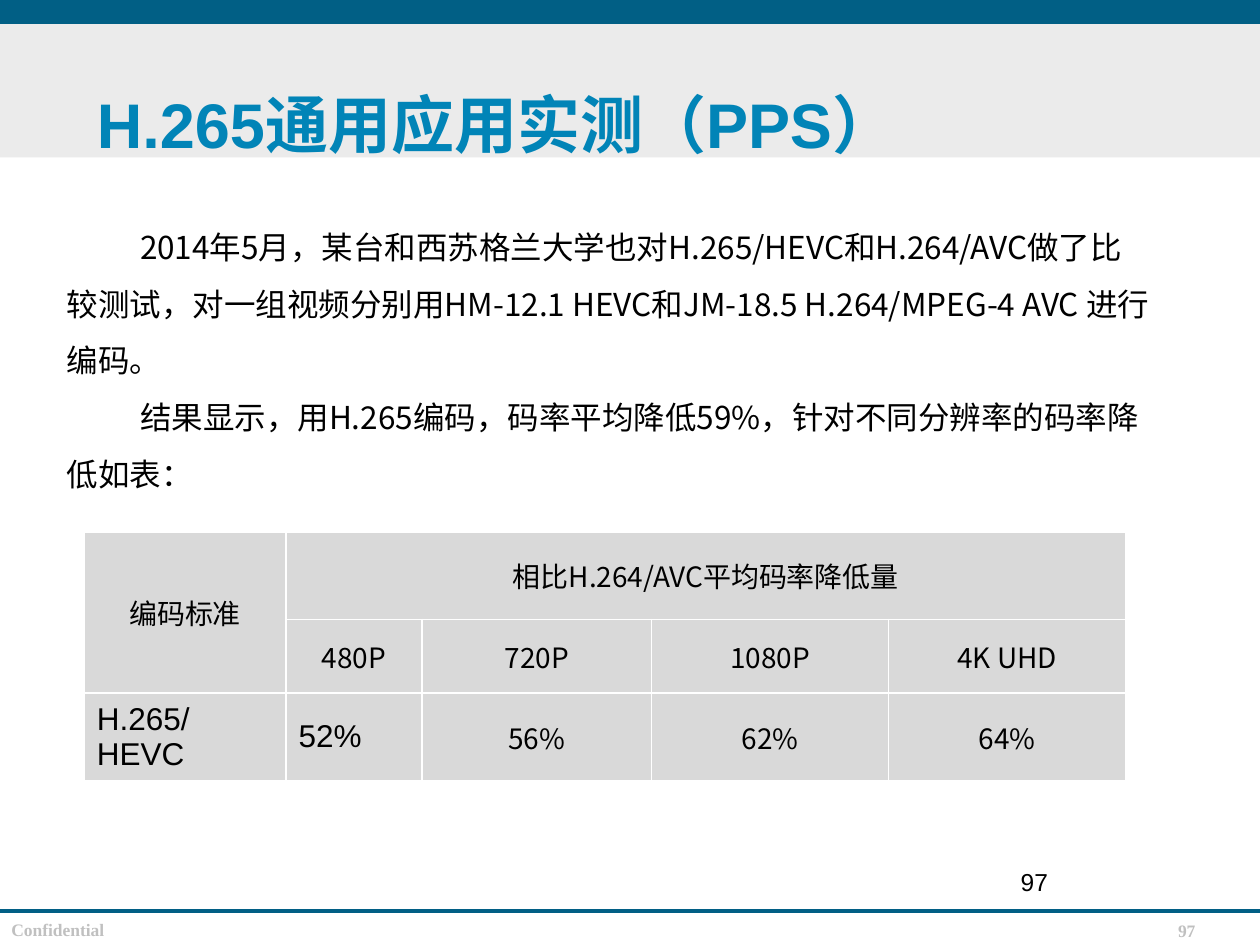
"""Build the slide on measured H.265 bit-rate savings."""
from dataclasses import dataclass
from typing import Any

from lxml.etree import SubElement
from pptx import Presentation
from pptx.dml.color import RGBColor
from pptx.enum.shapes import MSO_CONNECTOR as Connector, MSO_SHAPE as Shape
from pptx.enum.text import MSO_ANCHOR as Anchor, MSO_AUTO_SIZE as AutoSize, PP_ALIGN as Align
from pptx.oxml.ns import qn
from pptx.util import Pt

CJK = "Noto Sans CJK SC"
DARK_BLUE, BLACK, WHITE = "015F85", "000000", "FFFFFF"
CELL_FILL = "D9D9D9"
NO_MARGINS = dict.fromkeys(("margin_left", "margin_top", "margin_right", "margin_bottom"), 0)


@dataclass(frozen=True)
class Box:
    left: float
    top: float
    width: float
    height: float

    def lengths(self) -> tuple:
        return Pt(self.left), Pt(self.top), Pt(self.width), Pt(self.height)


@dataclass(frozen=True)
class Style:
    size: float
    name: str = "Arial"
    color: str = BLACK
    bold: bool = False


@dataclass(frozen=True)
class Band:
    box: Box
    color: str


@dataclass(frozen=True)
class Label:
    text: str
    box: Box
    style: Style
    frame_format: dict
    paragraph_format: dict


@dataclass(frozen=True)
class Entry:
    row: int
    column: int
    text: str
    style: Style = Style(16, CJK)
    alignment: Any = Align.CENTER


FOOTER = Style(10, "Times New Roman", "C0C0C0", True)
FOOTER_FRAME = NO_MARGINS | {"word_wrap": False}
FOOTER_LINE = {"line_spacing": Pt(9.2)}
PLAIN = Style(18)

BANDS = [
    Band(Box(0, 9, 720, 81), "EBEBEB"),
    Band(Box(0, 0, 720, 13.7), DARK_BLUE),
]
LABELS = [
    Label("97", Box(673.2, 528.5, 11.5, 9.4), FOOTER, FOOTER_FRAME, FOOTER_LINE),
    Label("Confidential", Box(6.5, 527.8, 53.3, 9.4), FOOTER, FOOTER_FRAME, FOOTER_LINE),
    Label("97", Box(516.2, 491.8, 149.8, 36), Style(14), {"word_wrap": True},
          {"alignment": Align.CENTER}),
]
BODY = [
    "2014年5月，某台和西苏格兰大学也对H.265/HEVC和H.264/AVC做了比较测试，"
    "对一组视频分别用HM-12.1 HEVC和JM-18.5 H.264/MPEG-4 AVC 进行编码。",
    "结果显示，用H.265编码，码率平均降低59%，针对不同分辨率的码率降低如表：",
]
COLUMN_WIDTHS = [115.2, 77.8, 131, 135.6, 135.6]
ROW_HEIGHTS = [50, 42, 38]
ENTRIES = [
    Entry(0, 0, "编码标准"),
    Entry(0, 1, "相比H.264/AVC平均码率降低量"),
    *(Entry(1, column, text) for column, text in enumerate(["480P", "720P", "1080P", "4K UHD"], 1)),
    Entry(2, 0, "H.265/HEVC", PLAIN, Align.LEFT),
    Entry(2, 1, "52%", PLAIN, Align.LEFT),
    *(Entry(2, column, text) for column, text in enumerate(["56%", "62%", "64%"], 2)),
]


def paint(color_format: Any, color: str) -> None:
    color_format.rgb = RGBColor.from_string(color)


def fill_solid(fill: Any, color: str) -> None:
    fill.solid()
    paint(fill.fore_color, color)


def set_attributes(target: Any, values: dict) -> None:
    for name, value in values.items():
        setattr(target, name, value)


def write(paragraph: Any, text: str, style: Style, values: dict) -> None:
    run = paragraph.add_run()
    run.text = text
    set_attributes(paragraph, values)
    set_attributes(run.font, {"size": Pt(style.size), "name": style.name, "bold": style.bold})
    paint(run.font.color, style.color)
    SubElement(run.font._element, qn("a:ea"), typeface=CJK)


def place(shape: Any, box: Box) -> None:
    set_attributes(shape, dict(zip(("left", "top", "width", "height"), box.lengths())))


def draw_band(slide: Any, band: Band) -> None:
    shape = slide.shapes.add_shape(Shape.RECTANGLE, *band.box.lengths())
    shape.shadow.inherit = False
    fill_solid(shape.fill, band.color)
    shape.line.fill.background()


def draw_rule(slide: Any, top: float, width: float) -> None:
    rule = slide.shapes.add_connector(Connector.STRAIGHT, 0, Pt(top), Pt(width), Pt(top))
    rule.line.width = Pt(2)
    paint(rule.line.color, DARK_BLUE)
    SubElement(rule._element.spPr, qn("a:effectLst"))


def draw_label(slide: Any, label: Label) -> None:
    frame = slide.shapes.add_textbox(*label.box.lengths()).text_frame
    set_attributes(frame, label.frame_format)
    write(frame.paragraphs[0], label.text, label.style, label.paragraph_format)


def format_cell(cell: Any) -> None:
    cell.vertical_anchor = Anchor.MIDDLE
    properties = cell._tc.get_or_add_tcPr()
    for side in ("lnL", "lnR", "lnT", "lnB"):
        border = SubElement(properties, qn(f"a:{side}"), w=str(Pt(1)))
        SubElement(SubElement(border, qn("a:solidFill")), qn("a:srgbClr"), val=WHITE)
    fill_solid(cell.fill, CELL_FILL)


def draw_table(slide: Any) -> None:
    box = Box(48.2, 304, sum(COLUMN_WIDTHS), sum(ROW_HEIGHTS))
    table = slide.shapes.add_table(len(ROW_HEIGHTS), len(COLUMN_WIDTHS), *box.lengths()).table
    set_attributes(table, {"first_row": False, "horz_banding": False})
    for column, width in zip(table.columns, COLUMN_WIDTHS):
        column.width = Pt(width)
    for row, height in zip(table.rows, ROW_HEIGHTS):
        row.height = Pt(height)
    for cell in table.iter_cells():
        format_cell(cell)
    table.cell(0, 0).merge(table.cell(1, 0))
    table.cell(0, 1).merge(table.cell(0, 4))
    for entry in ENTRIES:
        paragraph = table.cell(entry.row, entry.column).text_frame.paragraphs[0]
        write(paragraph, entry.text, entry.style, {"alignment": entry.alignment})


def fill_placeholder(slide: Any, shape: Any, box: Box, texts: list[str], style: Style,
                     values: dict, indent: float = 0) -> None:
    place(shape, box)
    frame = shape.text_frame
    set_attributes(frame, {"word_wrap": True, "auto_size": AutoSize.NONE,
                           "vertical_anchor": Anchor.MIDDLE})
    for index, text in enumerate(texts):
        paragraph = frame.add_paragraph() if index else frame.paragraphs[0]
        properties = paragraph._p.get_or_add_pPr()
        properties.set("marL", "0")
        properties.set("indent", str(Pt(indent)))
        SubElement(properties, qn("a:buNone"))
        write(paragraph, text, style, values)
    slide.shapes._spTree.append(shape._element)


def main() -> None:
    presentation = Presentation()
    set_attributes(presentation, {"slide_width": Pt(720), "slide_height": Pt(540)})
    slide = presentation.slides.add_slide(presentation.slide_layouts[1])
    title, body = slide.placeholders
    draw_band(slide, BANDS[0])
    draw_rule(slide, 520.6, 720)
    draw_band(slide, BANDS[1])
    for label in LABELS:
        draw_label(slide, label)
    draw_table(slide)
    left = {"alignment": Align.LEFT, "space_before": Pt(0)}
    fill_placeholder(slide, body, Box(31, 115.2, 635, 170.6), BODY, Style(18, CJK),
                     left | {"line_spacing": 1.5}, 41.8)
    fill_placeholder(slide, title, Box(48.2, 25.2, 648, 90), ["H.265通用应用实测（PPS）"],
                     Style(36, color="0184B7", bold=True), left)
    presentation.save("out.pptx")


if __name__ == "__main__":
    main()
